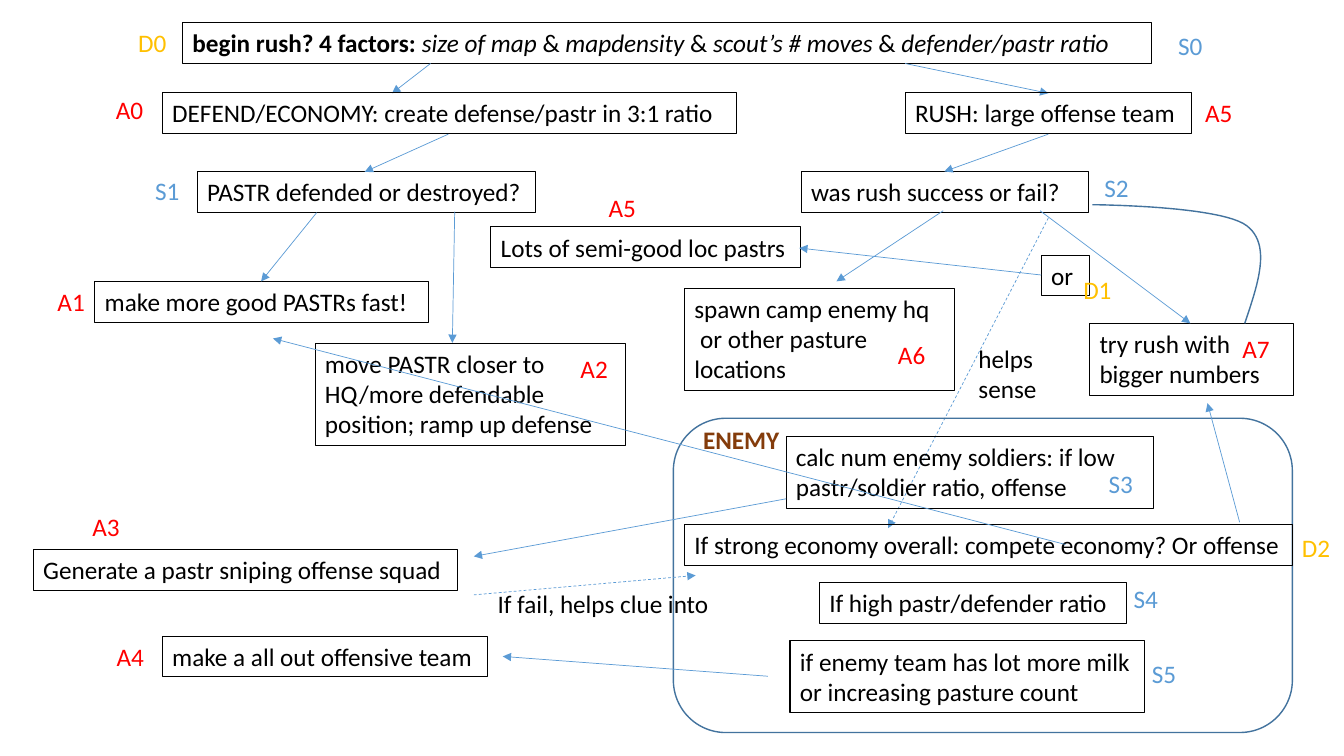
from dataclasses import dataclass

from lxml.etree import SubElement
from pptx import Presentation
from pptx.dml.color import RGBColor as RGB
from pptx.enum.dml import MSO_LINE as Dash
from pptx.enum.shapes import MSO_CONNECTOR as Link, MSO_SHAPE as Kind
from pptx.enum.text import MSO_AUTO_SIZE as Fit, PP_ALIGN as Align
from pptx.oxml.ns import qn
from pptx.util import Cm, Pt


@dataclass(frozen=True)
class Theme:
    font: str = "Calibri"
    size: float = 18
    ink: str = "000000"
    act: str = "FF0000"
    state: str = "5B9BD5"
    pick: str = "FFC000"
    enemy: str = "843C0B"
    edge: str = "43739E"
    thin: float = 0.5
    rule: float = 0.75
    thick: float = 1


look = Theme()
tints = {"A": look.act, "S": look.state, "D": look.pick}


def stroke(line, color, width):
    line.color.rgb = RGB.from_string(color)
    line.width = Pt(width)


def bezier(a, b, c, d, steps=24):
    for n in range(1, steps + 1):
        t = n / steps
        u = 1 - t
        yield tuple(
            u**3 * p + 3 * u * u * t * q + 3 * u * t * t * r + t**3 * s
            for p, q, r, s in zip(a, b, c, d)
        )


class Zone:
    def __init__(self, slide, box):
        self.shapes = slide.shapes
        self.left, self.top, self.width, self.height = box

    def at(self, x, y):
        return Cm(self.left + x), Cm(self.top + y)

    def text(self, x, y, w, words, rows=1, wrap=True, color=look.ink):
        size = Cm(w), Cm(0.25 + 0.78 * rows)
        shape = self.shapes.add_textbox(*self.at(x, y), *size)
        frame = shape.text_frame
        frame.word_wrap = wrap
        frame.auto_size = Fit.SHAPE_TO_FIT_TEXT
        frame.text = words
        for para in frame.paragraphs:
            para.font.name = look.font
            para.font.size = Pt(look.size)
            para.font.color.rgb = RGB.from_string(color)
        return shape

    def note(self, *args, **more):
        shape = self.text(*args, **more)
        stroke(shape.line, look.ink, look.rule)
        return shape

    def tags(self, *marks):
        for x, y, name in marks:
            self.text(x, y, 1.22, name, wrap=False, color=tints[name[0]])

    def arrow(self, x1, y1, x2, y2, dash=False):
        ends = *self.at(x1, y1), *self.at(x2, y2)
        link = self.shapes.add_connector(Link.STRAIGHT, *ends)
        stroke(link.line, look.state, look.thin)
        if dash:
            link.line.dash_style = Dash.DASH
        SubElement(link.line._get_or_add_ln(), qn("a:tailEnd"), type="triangle")
        SubElement(link._element.spPr, qn("a:effectLst"))

    def arrows(self, *lines):
        for line in lines:
            self.arrow(*line)

    def curve(self, start, *bends):
        spots = [start]
        for bend in bends:
            spots.extend(bezier(spots[-1], *bend))
        first, *rest = [self.at(*spot) for spot in spots]
        pen = self.shapes.build_freeform(*first)
        pen.add_line_segments(rest, close=False)
        shape = pen.convert_to_shape()
        self.outline(shape)

    def frame(self):
        size = Cm(self.width), Cm(self.height)
        shape = self.shapes.add_shape(Kind.ROUNDED_RECTANGLE, *self.at(0, 0), *size)
        self.outline(shape)

    def outline(self, shape):
        shape.shadow.inherit = False
        shape.fill.background()
        stroke(shape.line, look.edge, look.thick)


def begin(slide, box):
    zone = Zone(slide, box)
    para = zone.note(1.37, 0, 24.43, "").text_frame.paragraphs[0]
    head = para.add_run()
    head.text = "begin rush? 4 factors: "
    head.font.bold = True
    factors = ["size of map", "mapdensity", "scout’s # moves", "defender/pastr ratio"]
    for n, factor in enumerate(factors):
        if n:
            para.add_run().text = " & "
        run = para.add_run()
        run.text = factor
        run.font.italic = True
    zone.tags((0, 0, "D0"), (26.21, 0.07, "S0"))
    zone.arrows((7.62, 1.03, 6.65, 1.78), (19.58, 1.03, 23.19, 1.78))


def defend(slide, box):
    zone = Zone(slide, box)
    zone.note(2.89, 0.09, 14.48, "DEFEND/ECONOMY: create defense/pastr in 3:1 ratio")
    zone.note(3.77, 2.08, 8.52, "PASTR defended or destroyed?")
    zone.note(1.19, 4.84, 8.41, "make more good PASTRs fast!")
    zone.note(6.74, 6.4, 7.82,
              "move PASTR closer to HQ/more defendable position; ramp up defense", rows=3)
    zone.tags((1.47, 0, "A0"), (2.46, 2.04, "S1"), (0, 4.84, "A1"), (13.18, 6.54, "A2"))
    zone.arrows((10.1, 1.13, 7.99, 2.08), (6.78, 3.11, 5.38, 4.84),
                (10.26, 3.08, 10.2, 6.39))


def rush(slide, box):
    zone = Zone(slide, box)
    zone.note(10.44, 0, 7.22, "RUSH: large offense team")
    zone.note(7.82, 1.98, 7.24, "was rush success or fail?")
    zone.note(0, 3.38, 7.8, "Lots of semi-good loc pastrs", wrap=False)
    zone.note(13.87, 4.09, 1.22, "or")
    zone.note(4.88, 4.92, 6.81, "spawn camp enemy hq\n or other pasture locations", rows=3)
    zone.note(15.09, 5.81, 5.14, "try rush with bigger numbers", rows=2)
    zone.text(12.04, 6.19, 1.98, "helps\nsense", rows=2, wrap=False)
    zone.tags((17.75, 0, "A5"), (15.21, 1.88, "S2"), (2.72, 2.38, "A5"),
              (14.68, 4.44, "D1"), (10.01, 6.09, "A6"), (18.69, 5.94, "A7"))
    zone.arrows((14.05, 1.04, 11.43, 1.98), (11.4, 2.97, 8.71, 4.75),
                (13.84, 2.97, 17.63, 5.81), (13.87, 4.59, 7.77, 3.91),
                (14.05, 3.15, 10.01, 10.97, True))
    zone.curve((19, 5.81), ((19.33, 4.82), (19.68, 3.83), (19.05, 3.35)),
               ((18.39, 2.84), (15.16, 2.82), (15.16, 2.82)))


def enemy(slide, box):
    zone = Zone(slide, box)
    zone.frame()
    title = zone.text(0.48, 0.03, 2.46, "ENEMY", wrap=False, color=look.enemy)
    para = title.text_frame.paragraphs[0]
    para.alignment = Align.CENTER
    para.font.bold = True
    zone.note(2.84, 0.46, 9.27,
              "calc num enemy soldiers: if low pastr/soldier ratio, offense", rows=2)
    zone.note(0.28, 2.68, 15.32, "If strong economy overall: compete economy? Or offense")
    zone.note(3.68, 4.14, 7.75, "If high pastr/defender ratio")
    zone.note(2.94, 5.61, 8.94,
              "if enemy team has lot more milk\nor increasing pasture count",
              rows=2, wrap=False)
    zone.tags((10.72, 1.14, "S3"), (15.59, 2.74, "D2"), (11.35, 4.04, "S4"),
              (11.81, 5.92, "S5"))
    zone.arrows((2.38, 6.5, -4.3, 6), (14.27, 2.62, 13.46, -0.38),
                (9.88, 3.18, -10.09, -2.01), (2.84, 2.03, -5.03, 3.48))


def squads(slide, box):
    zone = Zone(slide, box)
    zone.note(0, 1.09, 10.7, "Generate a pastr sniping offense squad", wrap=False)
    zone.note(3.25, 3.28, 8.2, "make a all out offensive team")
    zone.text(11.45, 1.96, 5.89, "If fail, helps clue into")
    zone.tags((1.24, 0, "A3"), (1.85, 3.28, "A4"))
    zone.arrow(11.1, 2.24, 16.69, 1.75, dash=True)


deck = Presentation()
deck.slide_width, deck.slide_height = Cm(33.87), Cm(19.05)
slide = deck.slides.add_slide(deck.slide_layouts[6])
begin(slide, (3.23, 0.57, 27.35, 1.03))
defend(slide, (1.2, 2.25, 17.37, 8.98))
rush(slide, (12.37, 2.34, 20.23, 8))
enemy(slide, (16.97, 10.54, 15.6, 7.92))
squads(slide, (0.84, 12.75, 17.35, 4.31))
deck.save("out.pptx")
